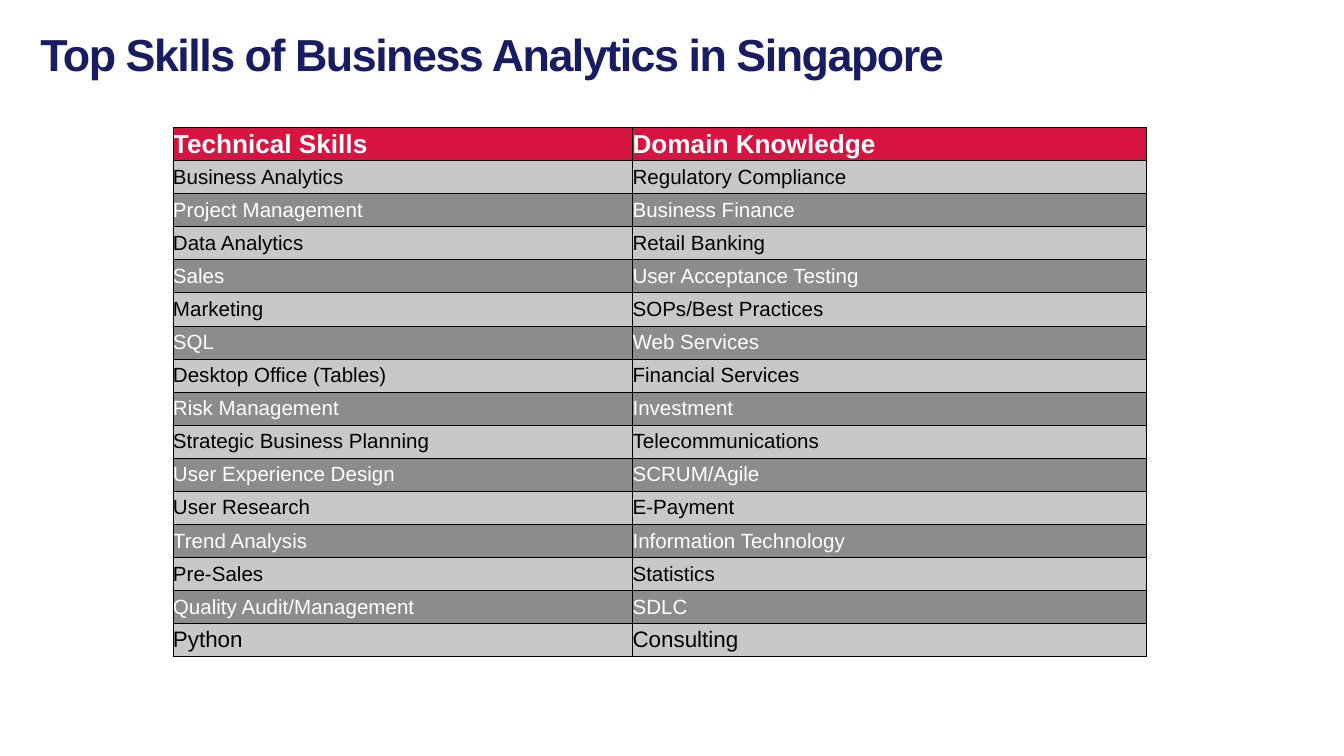
from lxml import etree
from pptx import Presentation
from pptx import util as u
from pptx.dml.color import RGBColor
from pptx.enum import text
from pptx.oxml.ns import qn

COLORS = {"navy": "181C62", "red": "D71440", "light": "C8C8C8",
          "dark": "8C8C8C", "white": "FFFFFF", "black": "000000"}

SKILLS = [
    ("Technical Skills", "Domain Knowledge"),
    ("Business Analytics", "Regulatory Compliance"),
    ("Project Management", "Business Finance"),
    ("Data Analytics", "Retail Banking"),
    ("Sales", "User Acceptance Testing"),
    ("Marketing", "SOPs/Best Practices"),
    ("SQL", "Web Services"),
    ("Desktop Office (Tables)", "Financial Services"),
    ("Risk Management", "Investment"),
    ("Strategic Business Planning", "Telecommunications"),
    ("User Experience Design", "SCRUM/Agile"),
    ("User Research", "E-Payment"),
    ("Trend Analysis", "Information Technology"),
    ("Pre-Sales", "Statistics"),
    ("Quality Audit/Management", "SDLC"),
    ("Python", "Consulting"),
]


class SlideBuilder:
    """Style and current slide; lengths are percentages of the slide's size."""
    font = "Arial"

    def __init__(self, deck):
        self.deck = deck
        self.slide = deck.slides.add_slide(deck.slide_layouts[6])

    def across(self, percent):
        return round(self.deck.slide_width * percent / 100)

    def down(self, percent):
        return round(self.deck.slide_height * percent / 100)

    def span(self, para, words, size, color, bold=False):
        span = para.add_run()
        span.text = words
        span.font.name = self.font
        span.font.size = u.Pt(size)
        span.font.bold = bold
        span.font.color.rgb = RGBColor.from_string(COLORS[color])
        return span

    def title(self, words, left, top, width, height):
        box = self.slide.shapes.add_textbox(
            self.across(left), self.down(top), self.across(width), self.down(height))
        frame = box.text_frame
        frame.word_wrap = False
        frame.vertical_anchor = text.MSO_ANCHOR.MIDDLE
        frame.margin_left = frame.margin_right = u.Inches(0.05)
        frame.margin_top = frame.margin_bottom = u.Inches(0.05)
        span = self.span(frame.paragraphs[0], words, 24, "navy", bold=True)
        span.font._element.set("spc", "-78")  # tighter letter spacing

    def borders(self, cell):
        props = cell._tc.get_or_add_tcPr()
        for place, side in enumerate(("lnL", "lnR", "lnT", "lnB")):
            line = etree.Element(qn("a:" + side), w=str(u.Pt(0.5)))
            fill = etree.SubElement(line, qn("a:solidFill"))
            etree.SubElement(fill, qn("a:srgbClr"), val=COLORS["black"])
            props.insert(place, line)

    def cell(self, cell, words, fill, color, size, bold):
        cell.fill.solid()
        cell.fill.fore_color.rgb = RGBColor.from_string(COLORS[fill])
        cell.vertical_anchor = text.MSO_ANCHOR.MIDDLE
        cell.margin_left = cell.margin_right = 0
        cell.margin_top = cell.margin_bottom = 0
        self.span(cell.text_frame.paragraphs[0], words, size, color, bold)
        self.borders(cell)

    def table(self, rows, left, top, widths, height):
        table = self.slide.shapes.add_table(
            len(rows), len(widths), self.across(left), self.down(top),
            self.across(sum(widths)), self.down(height)).table
        for column, width in zip(table.columns, widths):
            column.width = self.across(width)
        last = len(rows) - 1
        for r, row in enumerate(rows):
            # Red header, then light and dark bands; the last row is larger
            if r == 0:
                look = ("red", "white", 14, True)
            else:
                band = ("light", "black") if r % 2 else ("dark", "white")
                look = (*band, 12 if r == last else 11, False)
            for c, words in enumerate(row):
                self.cell(table.cell(r, c), words, *look)


def main():
    deck = Presentation()
    deck.slide_width = u.Inches(10)
    deck.slide_height = deck.slide_width * 9 // 16
    page = SlideBuilder(deck)

    # Heading
    page.title("Top Skills of Business Analytics in Singapore", 2.5, 2.67, 68.8, 8.9)

    # Skills by type
    page.table(SKILLS, left=12.87, top=16.87, widths=(34.2, 38.25), height=70.04)

    deck.save("out.pptx")


if __name__ == "__main__":
    main()
